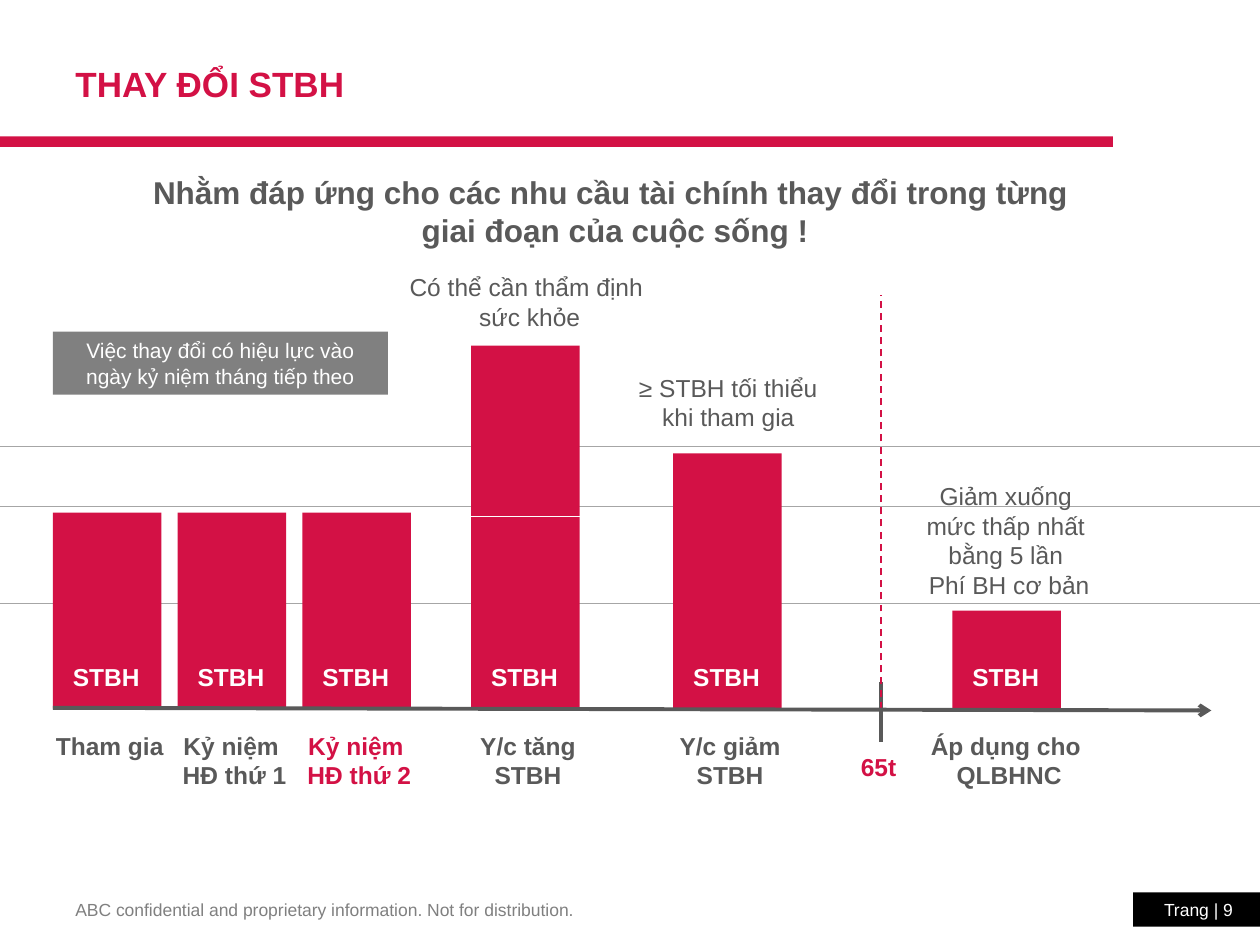
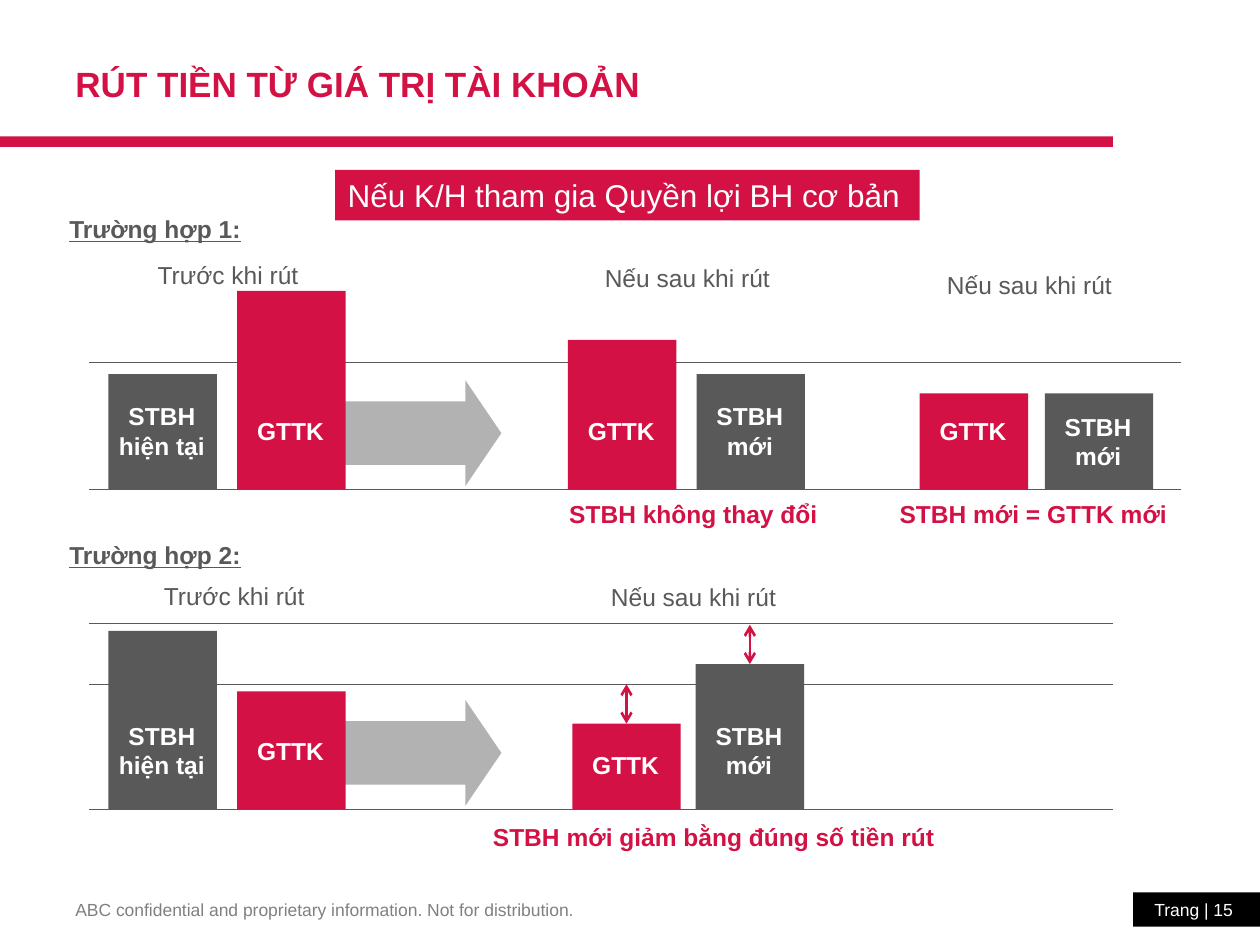
from dataclasses import dataclass
from typing import NamedTuple

from lxml import etree
from pptx import Presentation
from pptx.dml.color import RGBColor
from pptx.enum import dml, shapes, text
from pptx.oxml import ns
from pptx.util import Pt


@dataclass(frozen=True)
class Theme:
    font: str = "Arial"
    red: str = "D31145"
    dark: str = "595959"
    grey: str = "808080"
    arrow: str = "7F7F7F"
    guide: str = "A6A6A6"
    black: str = "000000"
    white: str = "FFFFFF"
    title: int = 20
    lead: int = 18
    body: int = 14
    note: int = 12
    footer: int = 10


class Box(NamedTuple):
    left: float
    top: float
    width: float
    height: float

    @property
    def bottom(self):
        return self.top + self.height


THEME = Theme()
ALIGN, ANCHOR = text.PP_ALIGN, text.MSO_ANCHOR
SLIDE_WIDTH, SLIDE_HEIGHT = 720, 540
BAR_WIDTH = 62
LABEL_WIDTH = 170
LINE_HEIGHT = 17
BOLD_WHITE = {"color": THEME.white, "bold": True}
BOLD_RED = {"color": THEME.red, "bold": True}
BOLD_DARK = {"bold": True}


def write(shape, words, size=THEME.body, color=THEME.dark, align=ALIGN.CENTER,
          anchor=ANCHOR.TOP, right=7.2, **font_format):
    frame = shape.text_frame
    frame_format = {"word_wrap": True, "vertical_anchor": anchor,
                    "margin_left": Pt(7.2), "margin_right": Pt(right),
                    "margin_top": Pt(3.6), "margin_bottom": Pt(3.6)}
    for name, value in frame_format.items():
        setattr(frame, name, value)
    paragraph = frame.paragraphs[0]
    paragraph.text = words.replace("\n", "\v")
    paragraph.alignment = align
    for run in paragraph.runs:
        run.font.color.rgb = RGBColor.from_string(color)
        for name, value in {"name": THEME.font, "size": Pt(size), **font_format}.items():
            setattr(run.font, name, value)


def add_text(slide, box, words, **style):
    write(slide.shapes.add_textbox(*map(Pt, box)), words, **style)


def add_centred(slide, center, top, words, **style):
    lines = words.count("\n") + 1
    box = Box(center - LABEL_WIDTH / 2, top, LABEL_WIDTH, 7 + LINE_HEIGHT * lines)
    add_text(slide, box, words, **style)


def add_block(slide, box, color, kind=shapes.MSO_SHAPE.RECTANGLE):
    block = slide.shapes.add_shape(kind, *map(Pt, box))
    block.shadow.inherit = False
    block.fill.solid()
    block.fill.fore_color.rgb = RGBColor.from_string(color)
    block.line.fill.background()
    return block


def add_line(slide, start, end, color, width=0.75, dash=None, heads=()):
    """Draw a line; heads lists the ends, "headEnd" or "tailEnd", with an open arrow."""
    line = slide.shapes.add_connector(
        shapes.MSO_CONNECTOR.STRAIGHT, *map(Pt, (*start, *end)))
    line.line.color.rgb = RGBColor.from_string(color)
    line.line.width = Pt(width)
    if dash:
        line.line.dash_style = dash
    properties = line.element.spPr
    for head in heads:
        etree.SubElement(properties.get_or_add_ln(), ns.qn(f"a:{head}"), type="arrow")
    etree.SubElement(properties, ns.qn("a:effectLst"))


def add_frame(deck, title, number):
    slide = deck.slides.add_slide(deck.slide_layouts[6])
    add_block(slide, Box(0, 78, 636, 6), THEME.red)
    add_text(slide, Box(36, 510, 360, 20),
             "ABC confidential and proprietary information. Not for distribution.",
             size=THEME.footer, color=THEME.grey, align=ALIGN.LEFT)
    page = add_block(slide, Box(647.5, 510, 72.5, 19.5), THEME.black)
    write(page, f"Trang | {number}", size=THEME.footer, color=THEME.white,
          align=ALIGN.RIGHT, right=15.5)
    add_text(slide, Box(36, 17, 605, 61), title, size=THEME.title,
             align=ALIGN.LEFT, anchor=ANCHOR.MIDDLE, **BOLD_RED)
    return slide


def add_bar(slide, left, baseline, height, color, label, label_rise):
    """Stand a labelled bar on the baseline, its label starting label_rise above it."""
    add_block(slide, Box(left, baseline - height, BAR_WIDTH, height), color)
    add_centred(slide, left + BAR_WIDTH / 2 - 0.5, baseline - label_rise, label, **BOLD_WHITE)


def add_timeline(slide, box):
    """Bars of the insured sum over the life of the contract."""
    for rise in (150, 115.5, 60):
        y = box.bottom - rise
        add_line(slide, (0, y), (SLIDE_WIDTH, y), THEME.guide)

    step = 71.3
    increase = 239
    stages = [
        (0, 112, "Tham gia", BOLD_DARK),
        (step, 112, "Kỷ niệm \nHĐ thứ 1", BOLD_DARK),
        (2 * step, 112, "Kỷ niệm \nHĐ thứ 2", BOLD_RED),
        (increase, 207.5, "Y/c tăng\nSTBH", BOLD_DARK),
        (354.5, 146, "Y/c giảm\nSTBH", BOLD_DARK),
        (514, 56, "Áp dụng cho \nQLBHNC", BOLD_DARK),
    ]
    for offset, height, caption, style in stages:
        left = box.left + offset
        add_bar(slide, left, box.bottom, height, THEME.red, "STBH", 30.5)
        add_centred(slide, left + BAR_WIDTH / 2 + 1.5, box.bottom + 9, caption, **style)

    remarks = [
        (272.5, 0, "Có thể cần thẩm định \nsức khỏe"),
        (386, 57.5, "≥ STBH tối thiểu\nkhi tham gia"),
        (546.5, 119.5, "Giảm xuống \nmức thấp nhất \nbằng 5 lần \nPhí BH cơ bản"),
    ]
    for center, drop, words in remarks:
        add_centred(slide, box.left + center, box.top + drop, words)

    age_limit = box.left + 473.3
    add_line(slide, (age_limit, box.bottom - 15), (age_limit, box.bottom + 19), THEME.dark, 2.25)
    add_line(slide, (age_limit, box.bottom), (age_limit, box.top + 16.5),
             THEME.red, 1, dash=dml.MSO_LINE.DASH)
    add_centred(slide, age_limit - 1.5, box.bottom + 21, "65t", **BOLD_RED)

    effect = add_block(slide, Box(box.left, box.top + 37.5, 191.5, 36), THEME.grey)
    write(effect, "Việc thay đổi có hiệu lực vào ngày kỷ niệm tháng tiếp theo",
          size=THEME.note, color=THEME.white, anchor=ANCHOR.MIDDLE)

    add_line(slide, (box.left, box.bottom - 0.5), (box.left + box.width, box.bottom + 1),
             THEME.dark, 2.25, heads=["tailEnd"])
    left, y = box.left + increase, box.bottom - 110
    add_line(slide, (left, y), (left + BAR_WIDTH, y), THEME.white)


def add_withdrawal_arrow(slide, box):
    arrow = add_block(slide, box, THEME.arrow, shapes.MSO_SHAPE.RIGHT_ARROW)
    arrow.adjustments[0], arrow.adjustments[1] = 0.6, 0.34
    color = arrow.element.spPr.find(".//" + ns.qn("a:srgbClr"))
    etree.SubElement(color, ns.qn("a:alpha"), val="60000")


def add_case(slide, box, heading, levels, stages, bars, outcomes, drops=()):
    """Compare balance and insured sum before and after a withdrawal.

    Offsets run from the box's left edge and heights from its bottom, the baseline.
    """
    add_withdrawal_arrow(slide, Box(box.left + 129, box.bottom - 62.5, 106.5, 60.5))
    for rise in (0, *levels):
        y = box.bottom - rise
        add_line(slide, (box.left, y), (box.left + box.width, y), THEME.dark)
    add_text(slide, Box(box.left - 18.5, box.top, 140, 24), heading,
             align=ALIGN.LEFT, underline=True, **BOLD_DARK)
    for offset, drop, words in stages:
        add_text(slide, Box(box.left + offset, box.top + drop, 140, 24), words, align=ALIGN.LEFT)
    for offset, height, label, rise in bars:
        color = THEME.red if label == "GTTK" else THEME.dark
        add_bar(slide, box.left + offset, box.bottom, height, color, label, rise)
    for offset, drop, width, words in outcomes:
        add_text(slide, Box(box.left + offset, box.bottom + drop, width, 24),
                 words, **BOLD_RED)
    for offset, high, low in drops:
        x = box.left + offset + BAR_WIDTH / 2
        add_line(slide, (x, box.bottom - high), (x, box.bottom - low), THEME.red, 1.5,
                 heads=["headEnd", "tailEnd"])


def add_sum_change_slide(deck):
    slide = add_frame(deck, "THAY ĐỔI STBH", 9)
    add_text(slide, Box(39.5, 95, 624, 51),
             "Nhằm đáp ứng cho các nhu cầu tài chính thay đổi trong từng \n"
             "giai đoạn của cuộc sống !",
             size=THEME.lead, anchor=ANCHOR.MIDDLE, **BOLD_DARK)
    add_timeline(slide, Box(30.2, 152, 662, 253))


def add_withdrawal_slide(deck):
    slide = add_frame(deck, "RÚT TIỀN TỪ GIÁ TRỊ TÀI KHOẢN", 15)
    condition = add_block(slide, Box(191.5, 97, 334, 29), THEME.red)
    write(condition, "Nếu K/H tham gia Quyền lợi BH cơ bản", size=THEME.lead,
          color=THEME.white, align=ALIGN.LEFT, anchor=ANCHOR.MIDDLE)

    before, after = "Trước khi rút", "Nếu sau khi rút"
    balance, current, renewed = "GTTK", "STBH\nhiện tại", "STBH\nmới"
    add_case(
        slide, Box(51, 119, 624, 160.8), "Trường hợp 1:", levels=[72.5],
        stages=[(32, 26, before), (287.5, 28, after), (483, 31.5, after)],
        bars=[(11, 66, current, 54), (84.5, 113.5, balance, 45.5),
              (273.5, 85.5, balance, 45.5), (347, 66, renewed, 54),
              (474.5, 55, balance, 45.5), (546, 55, renewed, 48)],
        outcomes=[(252, 2, 186.5, "STBH không thay đổi"),
                  (439.5, 2, 200, "STBH mới = GTTK mới")])
    add_case(
        slide, Box(51, 305.3, 585, 157.2), "Trường hợp 2:", levels=[106, 71.5],
        stages=[(35.5, 23, before), (291, 24, after)],
        bars=[(11, 102, current, 54), (84.5, 67.5, balance, 45.5),
              (276, 49, balance, 37.5), (346.5, 83, renewed, 54)],
        outcomes=[(202, 3.5, 310, "STBH mới giảm bằng đúng số tiền rút")],
        drops=[(276, 71.5, 49), (346.5, 105.5, 83)])


def main():
    deck = Presentation()
    deck.slide_width, deck.slide_height = Pt(SLIDE_WIDTH), Pt(SLIDE_HEIGHT)
    add_sum_change_slide(deck)
    add_withdrawal_slide(deck)
    deck.save("out.pptx")


if __name__ == "__main__":
    main()
